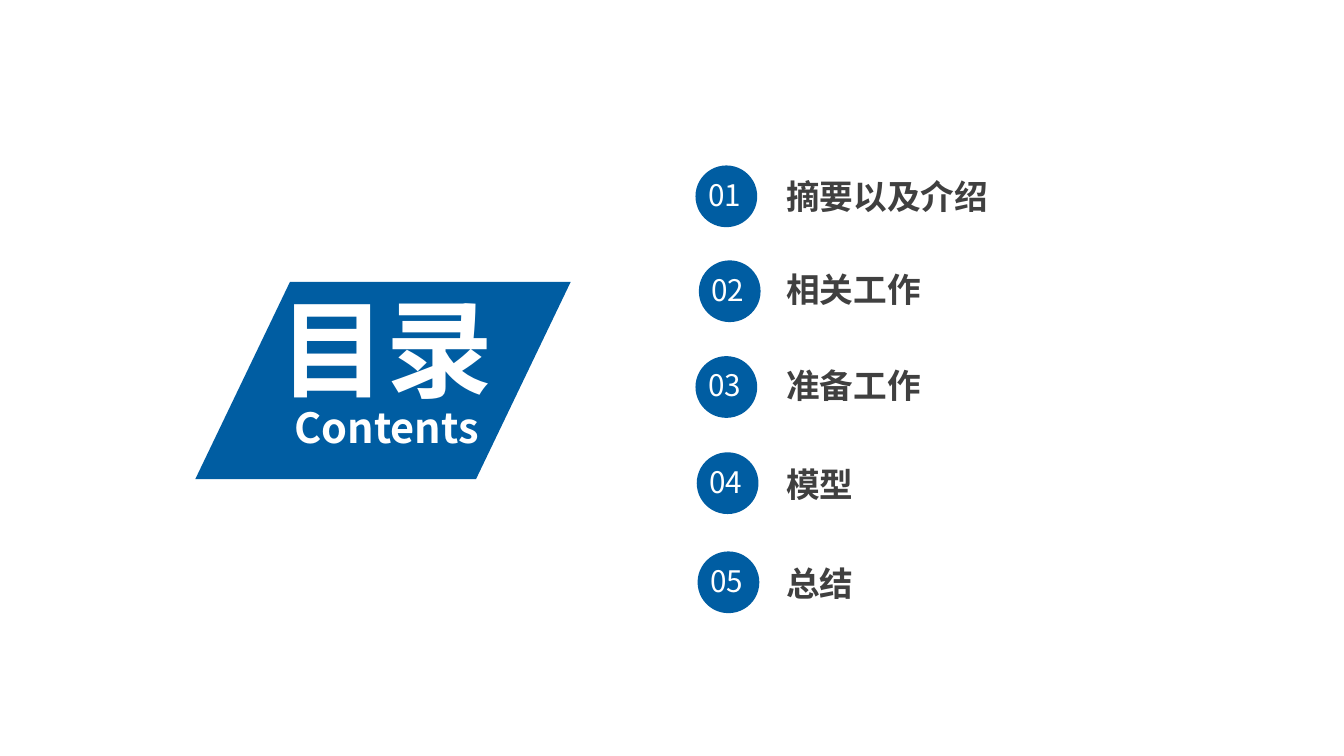
"""Build a contents slide with a title plate and five numbered entries."""
from lxml.etree import SubElement
from pptx import Presentation
from pptx.dml.color import RGBColor
from pptx.enum.shapes import MSO_SHAPE as Kind
from pptx.enum.text import MSO_ANCHOR as Anchor, MSO_AUTO_SIZE as Fit, PP_ALIGN as Align
from pptx.oxml.ns import qn
from pptx.util import Cm, Pt

BLUE = RGBColor(0x00, 0x5D, 0xA2)
WHITE = RGBColor(0xFF, 0xFF, 0xFF)
GREY = RGBColor(0x40, 0x40, 0x40)
FACE = "Noto Sans CJK SC"
ITEMS = [
    ("摘要以及介绍", 16.56, 3.94, 4.09),
    ("相关工作", 16.64, 6.2, 6.3),
    ("准备工作", 16.56, 8.48, 8.59),
    ("模型", 16.59, 10.77, 10.95),
    ("总结", 16.61, 13.13, 13.31),
]


def add_shape(shapes, kind, *box):
    """Add a plain blue shape; the box is in centimetres."""
    shape = shapes.add_shape(kind, *map(Cm, box))
    shape.shadow.inherit = False
    shape.fill.solid()
    shape.fill.fore_color.rgb = BLUE
    shape.line.fill.background()
    return shape


def add_frame(shapes, *box, wrap=True, fit=Fit.SHAPE_TO_FIT_TEXT):
    """Add a text box in centimetres and return its frame."""
    frame = shapes.add_textbox(*map(Cm, box)).text_frame
    frame.word_wrap = wrap
    frame.auto_size = fit
    return frame


def write(para, text, size, color, bold=False):
    """Fill a paragraph and set its font for Latin and Chinese text."""
    para.text = text
    font = para.font
    font.name, font.size, font.bold = FACE, Pt(size), bold
    font.color.rgb = color
    props = para._p.get_or_add_pPr().find(qn("a:defRPr"))
    SubElement(props, qn("a:ea")).set("typeface", FACE)


def add_title(slide):
    """Add the slanted plate with the two title lines."""
    shapes = slide.shapes.add_group_shape().shapes
    plate = add_shape(shapes, Kind.PARALLELOGRAM, 4.65, 6.71, 8.94, 4.7)
    plate.adjustments[0] = 0.48
    frame = add_frame(shapes, 6.07, 8.05, 6.27, 1.37, fit=Fit.NONE)
    frame.vertical_anchor = Anchor.MIDDLE
    head, sub = frame.paragraphs[0], frame.add_paragraph()
    sub.line_spacing = 0.82
    for para, text, size in ((head, "目录", 72), (sub, "Contents", 28)):
        para.alignment = Align.CENTER
        write(para, text, size, WHITE, True)


def add_badge(slide, num, left, top):
    """Add a round badge with a two-digit number."""
    shapes = slide.shapes.add_group_shape().shapes
    add_shape(shapes, Kind.OVAL, left, top, 1.47, 1.47)
    frame = add_frame(shapes, left + 0.05, top + 0.14, 1.35, 1.12, wrap=False)
    write(frame.paragraphs[0], f"{num:02}", 20, WHITE)


def add_label(slide, text, top):
    """Add the heading of one entry."""
    frame = add_frame(slide.shapes, 18.52, top, 12.7, 1.17)
    frame.margin_left = frame.margin_right = Cm(0.2)
    frame.margin_top = frame.margin_bottom = Cm(0.1)
    write(frame.paragraphs[0], text, 22.7, GREY, True)


def main():
    """Build and save the slide."""
    deck = Presentation()
    deck.slide_width, deck.slide_height = Cm(32), Cm(18)
    slide = deck.slides.add_slide(deck.slide_layouts[6])
    add_title(slide)
    for num, (text, left, top, base) in enumerate(ITEMS, 1):
        add_badge(slide, num, left, top)
        add_label(slide, text, base)
    deck.save("out.pptx")


main()
